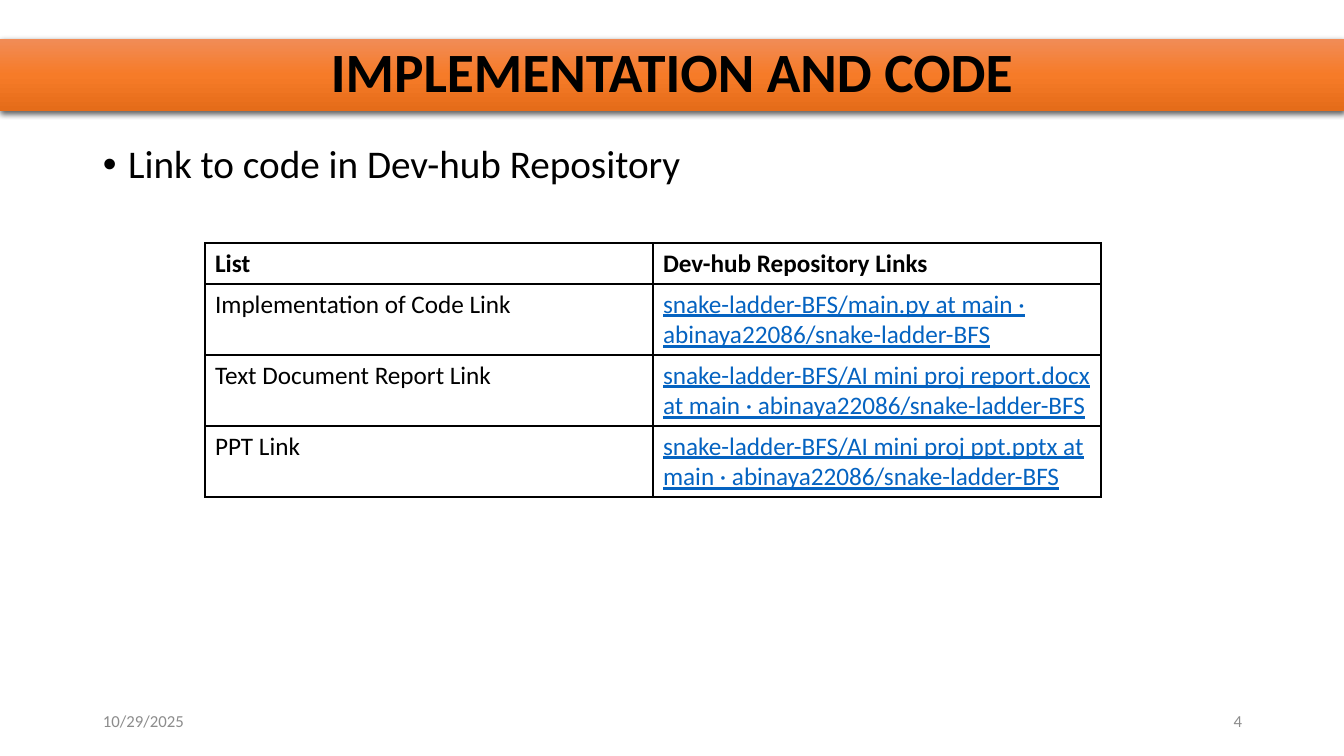
from lxml.etree import SubElement
from pptx import Presentation
from pptx.dml.color import RGBColor
from pptx.enum.shapes import MSO_SHAPE as Shape
from pptx.enum.text import MSO_ANCHOR as Anchor, PP_ALIGN as Align
from pptx.oxml import parse_xml
from pptx.oxml.ns import nsdecls, qn
from pptx.util import Emu, Pt

WIDTH, HEIGHT = 1344, 756
SCALE = 12192000 / WIDTH

BLACK = "000000"
GRAY = "8C8C8C"
LINK = "0563C1"
BANNER_STOPS = [(0, "F18C57"), (50, "F67B28"), (100, "E56C19")]

LINK_ROWS = [
    ("Implementation of Code Link",
     "snake-ladder-BFS/main.py at main · abinaya22086/snake-ladder-BFS"),
    ("Text Document Report Link",
     "snake-ladder-BFS/AI mini proj report.docx at main · abinaya22086/snake-ladder-BFS"),
    ("PPT Link",
     "snake-ladder-BFS/AI mini proj ppt.pptx at main · abinaya22086/snake-ladder-BFS"),
]


def px(length):
    return Emu(round(length * SCALE))


def color(value):
    return RGBColor.from_string(value)


class SlideBuilder:
    font = "Calibri"

    def __init__(self, deck):
        self.page = deck.slides.add_slide(deck.slide_layouts[6])

    def add_span(self, para, text, size, tint=BLACK, bold=False, underline=False):
        span = para.add_run()
        span.text = text
        span.font.name = self.font
        span.font.size = Pt(size)
        span.font.bold = bold
        span.font.underline = underline
        span.font.color.rgb = color(tint)

    def banner(self, left, top, width, height, text):
        box = self.page.shapes.add_shape(
            Shape.RECTANGLE, px(left), px(top), px(width), px(height))
        box.line.fill.background()
        stops = "".join(
            f'<a:gs pos="{place * 1000}"><a:srgbClr val="{tint}"/></a:gs>'
            for place, tint in BANNER_STOPS)
        properties = box._element.spPr
        properties.find(qn("a:ln")).addprevious(parse_xml(
            f'<a:gradFill {nsdecls("a")} rotWithShape="1"><a:gsLst>{stops}</a:gsLst>'
            '<a:lin ang="5400000" scaled="0"/></a:gradFill>'))
        properties.append(parse_xml(
            f'<a:effectLst {nsdecls("a")}>'
            f'<a:outerShdw blurRad="{Pt(4.5)}" dist="{Pt(1.5)}" dir="5400000" '
            'algn="ctr" rotWithShape="0"><a:srgbClr val="000000">'
            '<a:alpha val="63000"/></a:srgbClr></a:outerShdw></a:effectLst>'))
        frame = box.text_frame
        frame.word_wrap = True
        frame.vertical_anchor = Anchor.MIDDLE
        para = frame.paragraphs[0]
        para.alignment = Align.CENTER
        para.line_spacing = 0.9
        self.add_span(para, text, 39.6, bold=True)

    def text_box(self, left, top, width, height, text, size, tint=BLACK,
                 align=Align.LEFT, anchor=Anchor.TOP):
        box = self.page.shapes.add_textbox(px(left), px(top), px(width), px(height))
        frame = box.text_frame
        frame.word_wrap = True
        frame.vertical_anchor = anchor
        para = frame.paragraphs[0]
        para.alignment = align
        self.add_span(para, text, size, tint)
        return para

    def bullet(self, left, top, width, height, text):
        para = self.text_box(left, top, width, height, text, 28)
        para.line_spacing = 0.9
        para.space_before = Pt(10)
        properties = para._p.get_or_add_pPr()
        properties.set("marL", "228600")
        properties.set("indent", "-228600")
        SubElement(properties, qn("a:buFont"), typeface="Arial")
        SubElement(properties, qn("a:buChar"), char="•")

    def border(self, cell):
        properties = cell._tc.get_or_add_tcPr()
        for position, side in enumerate(("lnL", "lnR", "lnT", "lnB")):
            properties.insert(position, parse_xml(
                f'<a:{side} {nsdecls("a")} w="{Pt(1)}"><a:solidFill>'
                f'<a:srgbClr val="{BLACK}"/></a:solidFill></a:{side}>'))

    def table(self, left, top, column_width, row_heights, rows):
        grid = self.page.shapes.add_table(
            len(rows), len(rows[0]), px(left), px(top),
            px(column_width * len(rows[0])), px(sum(row_heights))).table
        grid.horz_banding = False
        for column in grid.columns:
            column.width = px(column_width)
        for r, (values, height) in enumerate(zip(rows, row_heights)):
            grid.rows[r].height = px(height)
            for c, text in enumerate(values):
                cell = grid.cell(r, c)
                cell.fill.background()
                self.border(cell)
                is_link = r > 0 and c == 1
                self.add_span(cell.text_frame.paragraphs[0], text, 18,
                              LINK if is_link else BLACK, r == 0, is_link)


def main():
    deck = Presentation()
    deck.slide_width = px(WIDTH)
    deck.slide_height = px(HEIGHT)
    slide = SlideBuilder(deck)
    slide.banner(0, 39, WIDTH, 72, "IMPLEMENTATION AND CODE")
    slide.bullet(93, 140, 1159, 541, "Link to code in Dev-hub Repository")
    slide.text_box(93, 701, 302, 40, "10/29/2025", 12, GRAY, anchor=Anchor.MIDDLE)
    slide.text_box(950, 701, 302, 40, "4", 12, GRAY, Align.RIGHT, Anchor.MIDDLE)
    slide.table(205, 243, 448, [41, 71, 71, 71],
                [("List", "Dev-hub Repository Links")] + LINK_ROWS)
    deck.save("out.pptx")


if __name__ == "__main__":
    main()
